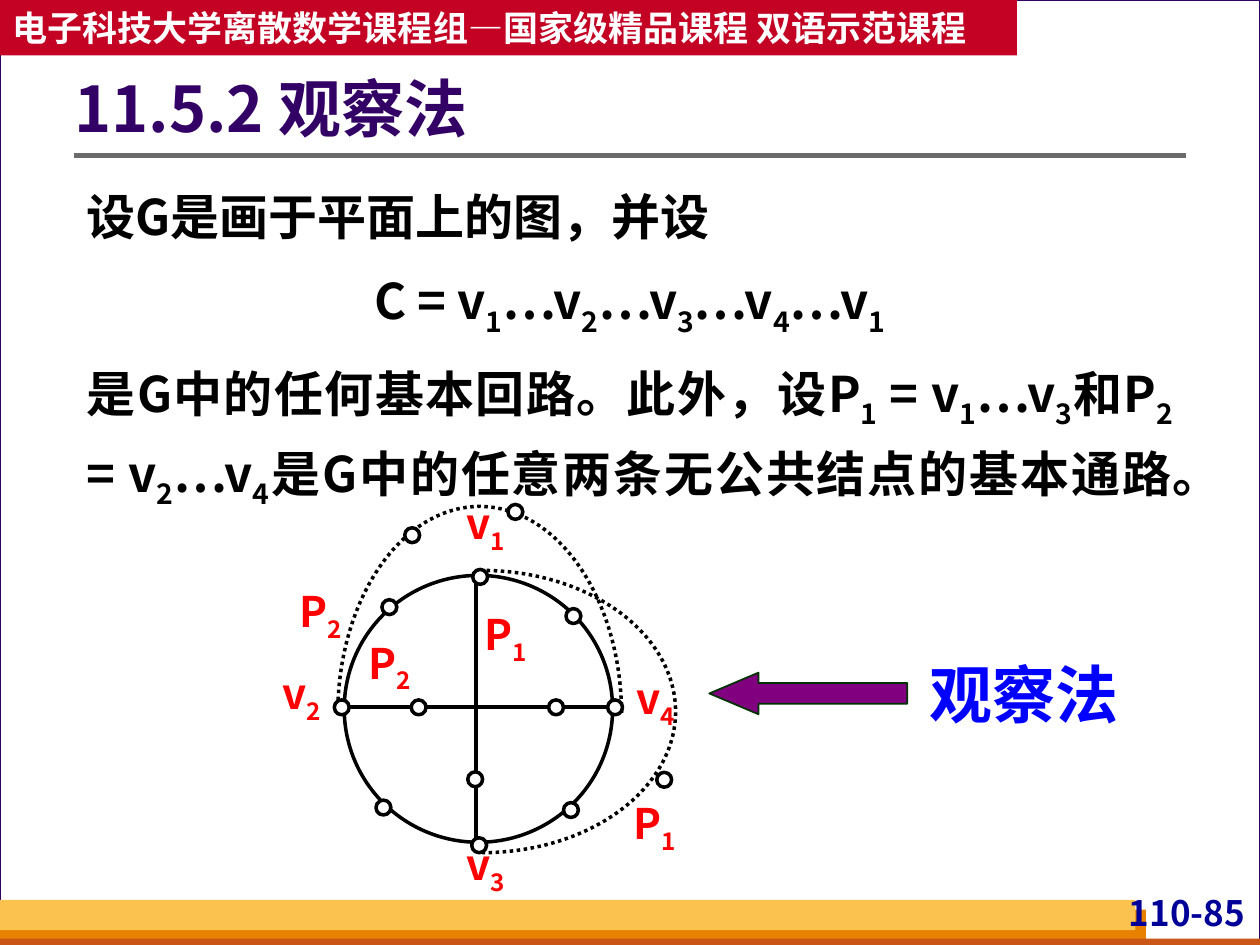
from pptx import Presentation
from pptx.dml.color import RGBColor
from pptx.enum.dml import MSO_LINE
from pptx.enum.shapes import MSO_CONNECTOR, MSO_SHAPE
from pptx.enum.text import MSO_ANCHOR, MSO_AUTO_SIZE, PP_ALIGN
from pptx.oxml.ns import qn
from pptx.util import Cm, Pt
from lxml import etree

RECT, OVAL, ARC, ARROW = (MSO_SHAPE.RECTANGLE, MSO_SHAPE.OVAL,
                          MSO_SHAPE.ARC, MSO_SHAPE.LEFT_ARROW)
STRAIGHT = MSO_CONNECTOR.STRAIGHT
DOTS = MSO_LINE.ROUND_DOT
TOP, MIDDLE = MSO_ANCHOR.TOP, MSO_ANCHOR.MIDDLE
LEFT, CENTER, RIGHT, JUSTIFY = (PP_ALIGN.LEFT, PP_ALIGN.CENTER,
                                PP_ALIGN.RIGHT, PP_ALIGN.JUSTIFY)
FIT = MSO_AUTO_SIZE.TEXT_TO_FIT_SHAPE

FACE = "Noto Sans CJK SC"
PALE = RGBColor(0xD8, 0xDA, 0xDA)
WHITE = RGBColor(0xFF, 0xFF, 0xFF)
BLACK = RGBColor(0, 0, 0)
INDIGO = RGBColor(0x33, 0x00, 0x66)
ORANGE = RGBColor(0xE8, 0x80, 0x00)
RUST = RGBColor(0xC9, 0x56, 0x16)
GOLD = RGBColor(0xFC, 0xC2, 0x4F)
CRIMSON = RGBColor(0xC3, 0x02, 0x24)
GRAY = RGBColor(0x6B, 0x6B, 0x6B)
NAVY = RGBColor(0, 0, 0x99)
RED = RGBColor(0xFF, 0, 0)
BLUE = RGBColor(0, 0, 0xFF)
PURPLE = RGBColor(0x80, 0, 0x80)
GREEN = RGBColor(0, 0x33, 0)

NODES = [(4.19, 1.6), (6.07, 2.39), (6.91, 4.23), (6.02, 6.3), (1.4, 4.23),
         (2.24, 6.25), (4.17, 7.01), (2.36, 2.21), (2.95, 4.23), (5.72, 4.23),
         (4.09, 5.68), (7.9, 5.69), (2.82, 0.76), (4.9, 0.29)]
LABELS = [("v_1", 3.71, 0), ("v_3", 3.71, 6.88), ("v_4", 7.14, 3.53),
          ("v_2", 0, 3.43), ("P_2", 1.78, 2.82), ("P_1", 4.11, 2.24),
          ("P_2", 0.38, 1.78), ("P_1", 7.11, 6.05)]
BODY = [("设G是画于平面上的图，并设", JUSTIFY),
        ("C = v_1…v_2…v_3…v_4…v_1", CENTER),
        ("是G中的任何基本回路。此外，设P_1 = v_1…v_3和P_2 = v_2…v_4"
         "是G中的任意两条无公共结点的基本通路。", JUSTIFY)]


def shape(slide, kind, box, fill=None, line=None, width=2):
    """Add a preset shape with its fill and outline."""
    item = slide.shapes.add_shape(kind, *map(Cm, box))
    item.shadow.inherit = False
    if fill is None:
        item.fill.background()
    else:
        item.fill.solid()
        item.fill.fore_color.rgb = fill
    if line is None:
        item.line.fill.background()
    else:
        item.line.color.rgb = line
        item.line.width = Pt(width)
    return item


def rule(slide, start, end, color, width):
    """Add a straight line between two points."""
    item = slide.shapes.add_connector(STRAIGHT, *map(Cm, start + end))
    item.line.color.rgb = color
    item.line.width = Pt(width)
    etree.SubElement(item._element.spPr, qn("a:effectLst"))


def piece(par, text, size, color, low=False):
    """Add one formatted run, lowered when it is a subscript."""
    run = par.add_run()
    run.text = text
    run.font.size = Pt(size)
    run.font.bold = True
    run.font.color.rgb = color
    run.font.name = FACE
    props = run._r.get_or_add_rPr()
    etree.SubElement(props, qn("a:ea")).set("typeface", FACE)
    if low:
        props.set("baseline", "-25000")


def write(par, text, size, color, align=LEFT):
    """Fill a paragraph, lowering the character after each underscore."""
    par.alignment = align
    head, *tails = text.split("_")
    piece(par, head, size, color)
    for tail in tails:
        piece(par, tail[0], size, color, True)
        if tail[1:]:
            piece(par, tail[1:], size, color)


def setup(frame, pads, anchor=TOP, wrap=True):
    """Set the margins, anchor and wrapping of a text frame."""
    frame.margin_left, frame.margin_top, frame.margin_right, frame.margin_bottom = map(Cm, pads)
    frame.vertical_anchor = anchor
    frame.word_wrap = wrap


def label(slide, box, text, size, color, align=LEFT, pads=(0, 0, 0, 0),
          anchor=TOP, wrap=True):
    """Add a one-paragraph text box and return its paragraph."""
    frame = slide.shapes.add_textbox(*map(Cm, box)).text_frame
    setup(frame, pads, anchor, wrap)
    write(frame.paragraphs[0], text, size, color, align)
    return frame.paragraphs[0]


def border(slide, box):
    """Draw the page panel, footer bands, page number and banner."""
    x, y, w, h = box
    shape(slide, RECT, box, WHITE, INDIGO, 0.75)
    shape(slide, RECT, (x, y + 18.34, 23.1, 0.71), ORANGE)
    shape(slide, RECT, (x, y + 18.92, w, 0.2), RUST)
    shape(slide, RECT, (x, y + 18.14, 22.89, 0.61), GOLD)
    label(slide, (x + w - 3.3, y + h - 1.07, 3.1, 0.97), "110-85", 20, NAVY,
          RIGHT, (0.1, 0, 0.1, 0))
    banner = shape(slide, RECT, (x, y, 20.5, 1.12), CRIMSON).text_frame
    setup(banner, (0.25, 0.13, 0.25, 0.13), MIDDLE)
    write(banner.paragraphs[0],
          "电子科技大学离散数学课程组—国家级精品课程 双语示范课程", 20, WHITE)


def title(slide, box):
    """Write the heading and its underline."""
    x, y, w, h = box
    rule(slide, (x, y + 2.16), (x + w, y + 2.16), GRAY, 3)
    par = label(slide, box, "11.5.2 观察法", 36, INDIGO,
                pads=(0, 0.13, 0.25, 0.13), anchor=MIDDLE)
    par.line_spacing = 0.9


def body(slide, box):
    """Write the statement paragraphs."""
    frame = slide.shapes.add_textbox(*map(Cm, box)).text_frame
    setup(frame, (0.25, 0.13, 0.25, 0.13))
    frame.auto_size = FIT
    for i, (text, align) in enumerate(BODY):
        par = frame.add_paragraph() if i else frame.paragraphs[0]
        par.line_spacing = 1.2
        if i:
            par.space_before = Pt(7)
        write(par, text, 28, BLACK, align)


def curve(slide, box, start, end):
    """Draw a dotted arc clockwise between two angles in degrees."""
    arc = shape(slide, ARC, box, line=BLACK)
    arc.line.dash_style = DOTS
    arc.adjustments[0] = start * 0.6
    arc.adjustments[1] = end * 0.6


def graph(slide, box):
    """Draw the circuit, its chords, outer paths, nodes and labels."""
    x, y = box[:2]
    curve(slide, (x + 0.33, y + 1.47, 7.8, 5.69), 269, 90)
    curve(slide, (x + 1.32, y + 0.18, 5.72, 8.38), 180, 359.6)
    shape(slide, OVAL, (x + 1.45, y + 1.57, 5.41, 5.38), WHITE, BLACK)
    rule(slide, (x + 4.11, y + 1.57), (x + 4.11, y + 6.99), BLACK, 2)
    rule(slide, (x + 1.45, y + 4.22), (x + 6.83, y + 4.22), BLACK, 2)
    for text, dx, dy in LABELS:
        label(slide, (x + dx, y + dy, 1.19, 1.17), text, 24, RED, CENTER)
    for dx, dy in NODES:
        shape(slide, OVAL, (x + dx - 0.15, y + dy - 0.15, 0.3, 0.3), WHITE, BLACK)


def callout(slide, box):
    """Name the method and point an arrow at the graph."""
    x, y, w, h = box
    label(slide, (x + 4.19, y, w - 4.19, h), "观察法", 36, BLUE,
          pads=(0.25, 0.13, 0.25, 0.13), anchor=MIDDLE, wrap=False)
    arrow = shape(slide, ARROW, (x, y + 0.48, 3.99, 0.84), PURPLE, GREEN, 1)
    arrow.adjustments[0] = 0.5
    arrow.adjustments[1] = 1.18


def main():
    """Build the slide and save it."""
    deck = Presentation()
    deck.slide_width, deck.slide_height = Cm(25.4), Cm(19.05)
    slide = deck.slides.add_slide(deck.slide_layouts[6])
    slide.background.fill.solid()
    slide.background.fill.fore_color.rgb = PALE
    border(slide, (0, 0, 25.4, 19.05))
    title(slide, (1.5, 0.97, 22.4, 2.57))
    body(slide, (1.5, 3.4, 22.4, 8.46))
    graph(slide, (5.49, 10.03, 8.33, 8.05))
    callout(slide, (14.3, 13.08, 8.79, 1.78))
    deck.save("out.pptx")


if __name__ == "__main__":
    main()
